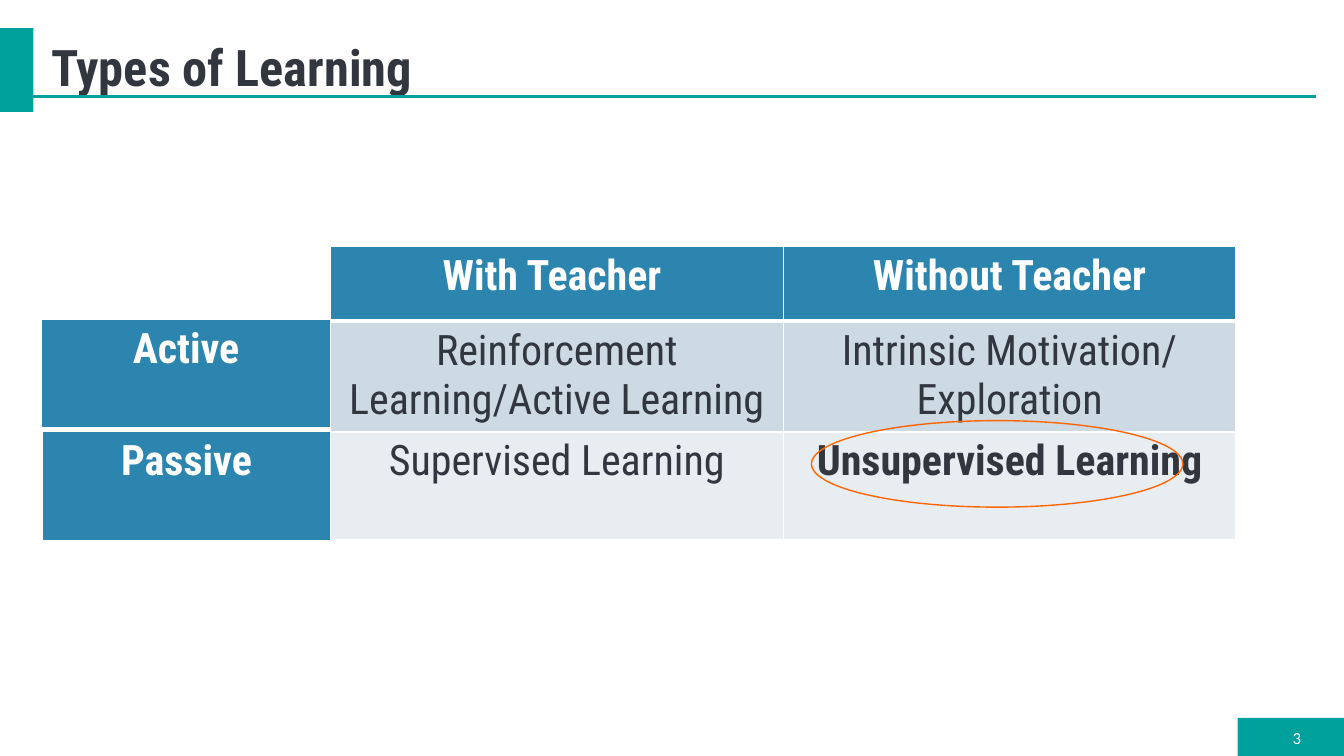
from dataclasses import dataclass

from lxml.etree import SubElement
from pptx import Presentation
from pptx.dml.color import RGBColor as RGB
from pptx.enum.shapes import MSO_CONNECTOR as Connector, MSO_SHAPE as Shape
from pptx.enum.text import MSO_ANCHOR as Anchor, PP_ALIGN as Align
from pptx.oxml.ns import qn
from pptx.util import Cm, Pt


@dataclass(frozen=True)
class Theme:
    teal: str = "00A09D"
    blue: str = "2C85AE"
    band_dark: str = "CDD9E3"
    band_light: str = "E8EDF2"
    ink: str = "32363F"
    white: str = "FFFFFF"
    orange: str = "FF6600"
    font: str = "Roboto Condensed"
    number_font: str = "Calibri"
    title_size: int = 36
    table_size: int = 30
    number_size: int = 12


class SlideBuilder:
    def __init__(self, slide, theme):
        self.shapes = slide.shapes
        self.theme = theme

    def set_text(self, paragraph, text, size, color, bold=False, align=Align.LEFT, font=None):
        paragraph.text = text
        paragraph.alignment = align
        style = paragraph.font
        style.name = font or self.theme.font
        style.size = Pt(size)
        style.bold = bold
        style.color.rgb = RGB.from_string(color)

    def shape(self, kind, box, fill=None, line=None):
        item = self.shapes.add_shape(kind, *map(Cm, box))
        item.shadow.inherit = False
        if fill:
            item.fill.solid()
            item.fill.fore_color.rgb = RGB.from_string(fill)
        else:
            item.fill.background()
        if line:
            item.line.color.rgb = RGB.from_string(line)
            item.line.width = Pt(1)
        else:
            item.line.fill.background()

    def text(self, box, text, size, color, line_spacing=1.0, **style):
        frame = self.shapes.add_textbox(*map(Cm, box)).text_frame
        frame.word_wrap = True
        frame.vertical_anchor = Anchor.MIDDLE
        self.set_text(frame.paragraphs[0], text, size, color, **style)
        frame.paragraphs[0].line_spacing = line_spacing

    def rule(self, left, right, y, color, width):
        line = self.shapes.add_connector(Connector.STRAIGHT, Cm(left), Cm(y), Cm(right), Cm(y))
        line.line.color.rgb = RGB.from_string(color)
        line.line.width = Pt(width)
        SubElement(line._element.spPr, qn("a:effectLst"))

    def cell(self, cell, text, fill, color, bold, bottom):
        properties = cell._tc.get_or_add_tcPr()
        for side, points in (("L", 1), ("R", 1), ("T", 1), ("B", bottom)):
            border = SubElement(properties, qn(f"a:ln{side}"), w=str(Pt(points)))
            solid = SubElement(border, qn("a:solidFill"))
            SubElement(solid, qn("a:srgbClr"), val=self.theme.white)
        cell.fill.solid()
        cell.fill.fore_color.rgb = RGB.from_string(fill)
        self.set_text(cell.text_frame.paragraphs[0], text, self.theme.table_size,
                      color, bold, Align.CENTER)

    def table(self, left, top, column_width, row_heights, rows):
        """Each row is (texts, fill, text colour, bold texts, bottom border)."""
        columns = len(rows[0][0])
        grid = self.shapes.add_table(len(rows), columns, Cm(left), Cm(top),
                                     Cm(column_width * columns), Cm(sum(row_heights))).table
        grid.first_row = grid.horz_banding = False
        for column in grid.columns:
            column.width = Cm(column_width)
        for r, (texts, fill, color, bold_texts, bottom) in enumerate(rows):
            grid.rows[r].height = Cm(row_heights[r])
            for c, text in enumerate(texts):
                self.cell(grid.cell(r, c), text, fill, color, text in bold_texts, bottom)


def main():
    theme = Theme()
    deck = Presentation()
    deck.slide_width, deck.slide_height = Cm(33.87), Cm(19.05)
    page = SlideBuilder(deck.slides.add_slide(deck.slide_layouts[6]), theme)

    # Page frame, title and slide number
    page.shape(Shape.RECTANGLE, (31.19, 18.09, 2.68, 0.96), fill=theme.teal)
    page.shape(Shape.RECTANGLE, (0, 0.71, 0.84, 2.11), fill=theme.teal)
    page.text((1.04, 0.71, 32, 2.11), "Types of Learning", theme.title_size,
              theme.ink, line_spacing=0.9, bold=True)
    page.text((32, 18.29, 1.04, 0.58), "3", theme.number_size, theme.white,
              align=Align.RIGHT, font=theme.number_font)

    # Row headings
    for label, left, top, width in (("Active", 1.05, 8.04, 7.28), ("Passive", 1.07, 10.87, 7.26)):
        page.table(left, top, width, [2.78], [([label], theme.blue, theme.white, [label], 3)])

    # Line under the title
    page.rule(0.69, 33.17, 2.44, theme.teal, 2.25)

    # Learning types by teacher
    teachers = ["With Teacher ", "Without Teacher"]
    active = ["Reinforcement Learning/Active Learning", "Intrinsic Motivation/ Exploration"]
    passive = ["Supervised Learning", "Unsupervised Learning"]
    page.table(8.33, 6.22, 11.41, [1.87, 2.74, 2.72], [
        (teachers, theme.blue, theme.white, teachers, 3),
        (active, theme.band_dark, theme.ink, [], 1),
        (passive, theme.band_light, theme.ink, passive[1:], 1),
    ])

    # Highlight around unsupervised learning
    page.shape(Shape.OVAL, (20.45, 10.6, 9.36, 2.18), line=theme.orange)

    deck.save("out.pptx")


if __name__ == "__main__":
    main()
